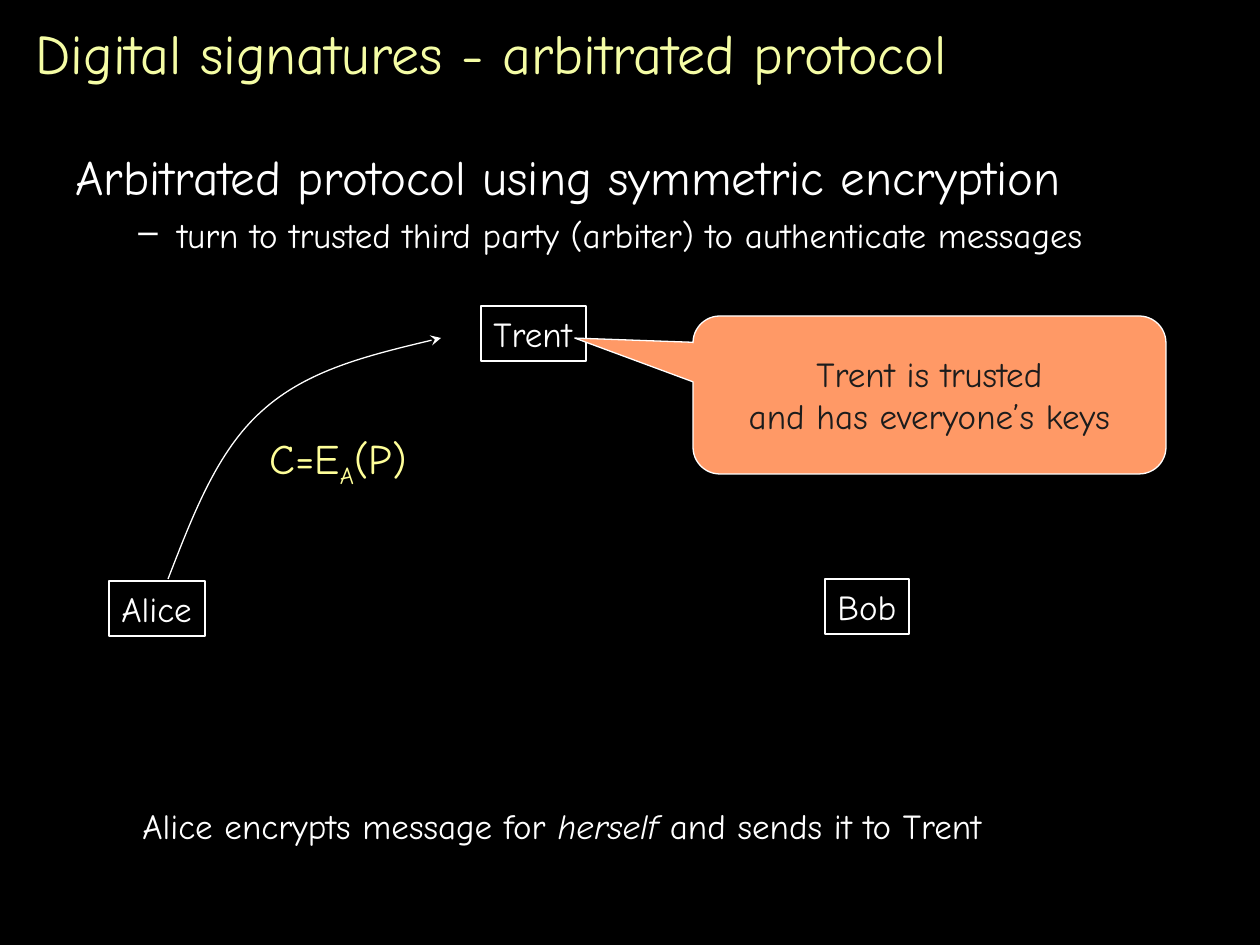
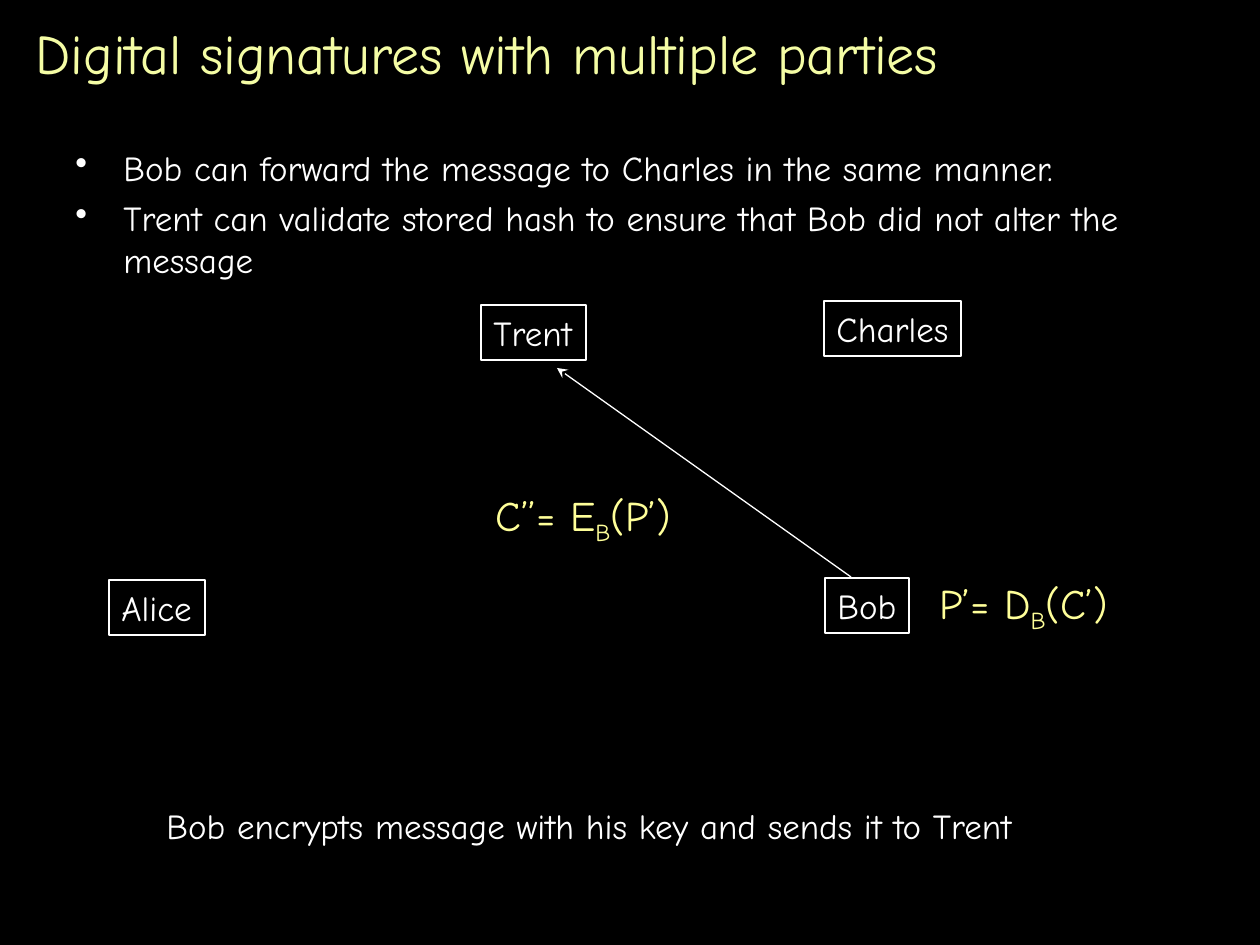
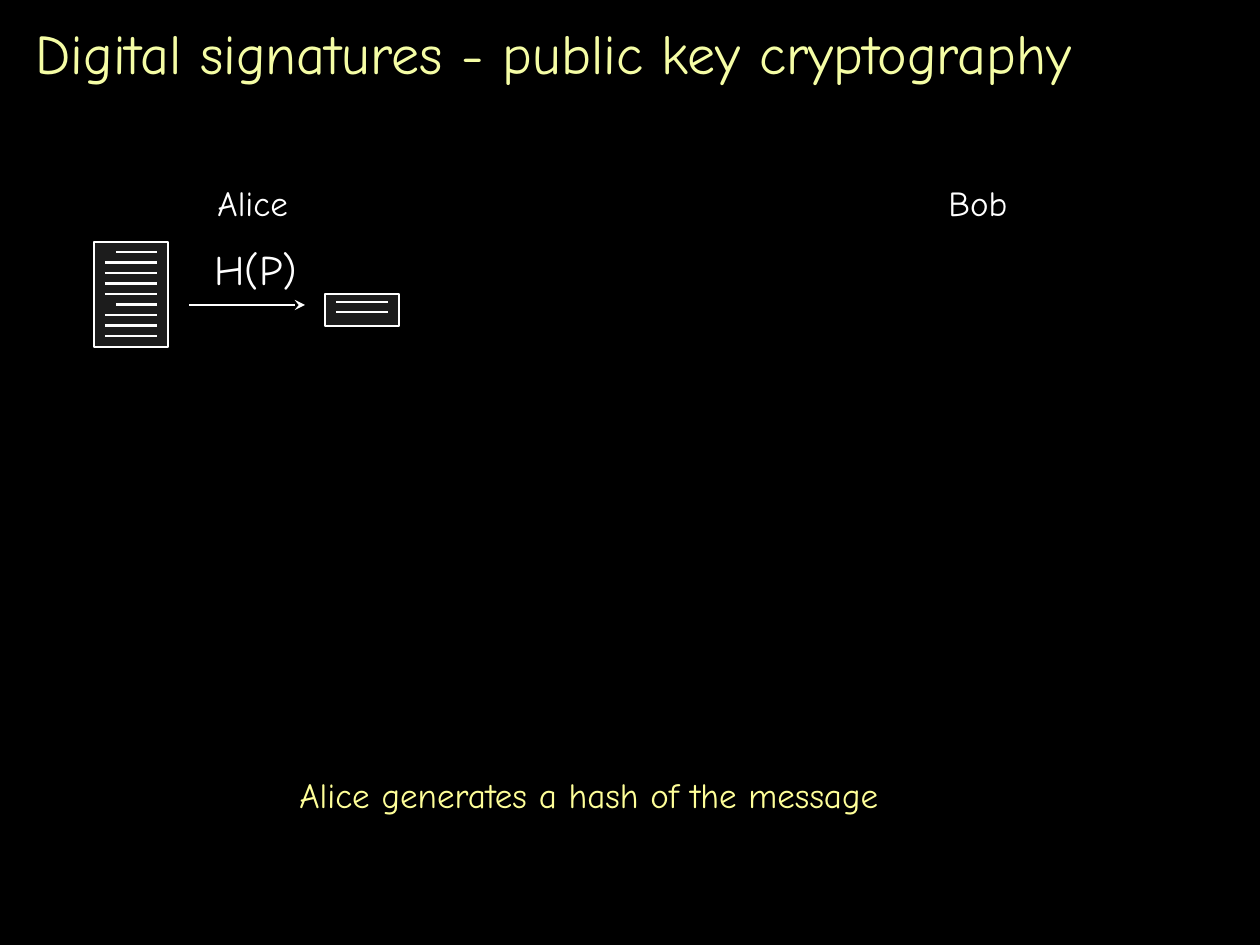
from pptx import Presentation
from pptx.dml.color import RGBColor
from pptx.enum.shapes import MSO_CONNECTOR, MSO_SHAPE
from pptx.enum.text import MSO_ANCHOR, MSO_AUTO_SIZE, PP_ALIGN
from pptx.oxml.ns import qn
from pptx.util import Pt
from lxml.etree import SubElement

BLACK = RGBColor(0x00, 0x00, 0x00)
WHITE = RGBColor(0xFF, 0xFF, 0xFF)
CHARCOAL = RGBColor(0x1C, 0x1C, 0x1C)
TITLE_YELLOW = RGBColor(0xF5, 0xFD, 0xA5)
YELLOW = RGBColor(0xFF, 0xFF, 0x99)
ORANGE = RGBColor(0xFF, 0x99, 0x66)
FONT = "Comic Neue"
SCALE = 914400 / 126  # EMU per px

PAGE_SIZE = (1260, 945)
TITLE_BOX = (23, 10, 1218, 84)
TEXT_SIZE, FORMULA_SIZE, HEADING_SIZE, TITLE_SIZE = 20, 24, 28, 32
THIN, THICK = 0.75, 1.5

# Body paragraph: text, size, space before, (bullet, left margin, hanging indent)
DASH = ("–", 102, 39)
DOT = ("•", 48, 48)
# Text with mixed styles is a list of (text, style) runs.
PLAIN, ITALIC, SUBSCRIPT = "plain", "italic", "subscript"

SLIDES = [
    {
        "title": "Digital signatures - arbitrated protocol",
        "body": ((63, 140, 1197, 704), [
            ("Arbitrated protocol using symmetric encryption", HEADING_SIZE, 0, None),
            ("turn to trusted third party (arbiter) to authenticate messages",
             TEXT_SIZE, 5, DASH),
        ]),
        "parties": [("Alice", (109, 581, 96, 55)), ("Bob", (825, 579, 84, 55)),
                    ("Trent", (481, 306, 105, 55))],
        "formulas": [([("C=E", PLAIN), ("A", SUBSCRIPT), ("(P)", PLAIN)],
                      (257, 426, 163, 71), YELLOW)],
        "captions": [([("Alice encrypts message for ", PLAIN), ("herself", ITALIC),
                       (" and sends it to Trent", PLAIN)],
                      (130, 798, 867, 55), WHITE)],
        "curve": [(168, 579), (193, 515), (217, 451), (262, 411),
                  (307, 370), (374, 354), (441, 338)],
        "callout": (["Trent is trusted", "and has everyone’s keys"],
                    (693, 316, 473, 158), (-0.75, -0.36, 0.17)),
    },
    {
        "title": "Digital signatures with multiple parties",
        "body": ((63, 140, 1134, 704), [
            ("Bob can forward the message to Charles in the same manner.",
             TEXT_SIZE, 0, DOT),
            ("Trent can validate stored hash to ensure that Bob did not alter the message",
             TEXT_SIZE, 5, DOT),
        ]),
        "parties": [("Alice", (109, 580, 96, 55)), ("Bob", (825, 578, 84, 55)),
                    ("Trent", (481, 305, 105, 55)), ("Charles", (824, 301, 137, 55))],
        "formulas": [
            ([("P’= D", PLAIN), ("B", SUBSCRIPT), ("(C’)", PLAIN)],
             (927, 571, 194, 71), YELLOW),
            ([("C’’= E", PLAIN), ("B", SUBSCRIPT), ("(P’)", PLAIN)],
             (483, 483, 265, 71), YELLOW),
        ],
        "captions": [([("Bob encrypts message with his key and sends it to Trent", PLAIN)],
                      (154, 798, 873, 55), WHITE)],
        "arrow": ((851, 577), (557, 368)),
    },
    {
        "title": "Digital signatures - public key cryptography",
        "formulas": [([("H(P)", PLAIN)], (202, 237, 108, 63), WHITE)],
        "captions": [
            ([("Alice", PLAIN)], (205, 175, 96, 55), WHITE),
            ([("Bob", PLAIN)], (936, 175, 84, 55), WHITE),
            ([("Alice generates a hash of the message", PLAIN)],
             (287, 767, 606, 55), YELLOW),
        ],
        "arrow": ((189, 305), (305, 305)),
        # Document: frame, first and last text line, line count, indented lines
        "documents": [((94, 242, 74, 105), (252, 336), 9, (0, 5)),
                      ((325, 294, 74, 32), (302, 312), 2, ())],
    },
]


def emu(lengths):
    return [round(length * SCALE) for length in lengths]


def style_font(font, size, color):
    font.name, font.size, font.color.rgb = FONT, Pt(size), color


def outline(shape, width):
    shape.line.color.rgb = WHITE
    shape.line.width = Pt(width)


def add_arrowhead(shape):
    SubElement(shape.element.spPr.find(qn("a:ln")), qn("a:tailEnd"), type="stealth")


def add_line(shapes, start, end, width):
    line = shapes.add_connector(MSO_CONNECTOR.STRAIGHT, *emu(start), *emu(end))
    outline(line, width)
    SubElement(line.element.spPr, qn("a:effectLst"))
    return line


def add_rectangle(shapes, frame, width):
    box = shapes.add_shape(MSO_SHAPE.RECTANGLE, *emu(frame))
    box.shadow.inherit = False
    outline(box, width)
    return box


def add_title(page, title):
    text = page.shapes.add_textbox(*emu(TITLE_BOX)).text_frame
    text.word_wrap = True
    text.vertical_anchor = MSO_ANCHOR.MIDDLE
    text.text = title
    style_font(text.paragraphs[0].font, TITLE_SIZE, TITLE_YELLOW)


def add_body(page, frame, items):
    text = page.shapes.add_textbox(*emu(frame)).text_frame
    text.word_wrap = True
    for index, (words, size, space, bullet) in enumerate(items):
        para = text.add_paragraph() if index else text.paragraphs[0]
        para.text = words
        para.space_before = Pt(space)
        if bullet:
            mark, margin, hang = bullet
            margin, hang = emu((margin, hang))
            props = para._p.get_or_add_pPr()
            props.set("marL", str(margin))
            props.set("indent", str(-hang))
            SubElement(props, qn("a:buChar"), char=mark)
        style_font(para.font, size, WHITE)


def add_label(page, spans, frame, size, color):
    text = page.shapes.add_textbox(*emu(frame)).text_frame
    text.word_wrap = False
    text.auto_size = MSO_AUTO_SIZE.SHAPE_TO_FIT_TEXT
    for words, style in spans:
        span = text.paragraphs[0].add_run()
        span.text = words
        style_font(span.font, size, color)
        if style == ITALIC:
            span.font.italic = True
        elif style == SUBSCRIPT:
            span._r.get_or_add_rPr().set("baseline", "-25000")


def add_party(page, name, frame):
    box = add_rectangle(page.shapes, frame, THIN)
    box.fill.background()
    text = box.text_frame
    text.word_wrap = False
    text.auto_size = MSO_AUTO_SIZE.SHAPE_TO_FIT_TEXT
    text.vertical_anchor = MSO_ANCHOR.TOP
    text.text = name
    text.paragraphs[0].alignment = PP_ALIGN.LEFT
    style_font(text.paragraphs[0].font, TEXT_SIZE, WHITE)


def add_curved_arrow(page, points):
    """Draw cubic segments: a start point, then three points for each segment."""
    start, *rest = [emu(point) for point in points]
    builder = page.shapes.build_freeform(*start)
    builder.add_line_segments(rest, close=False)
    curve = builder.convert_to_shape()
    steps = list(curve.element.iter(qn("a:lnTo")))
    for first in range(0, len(steps), 3):
        segment = SubElement(steps[first].getparent(), qn("a:cubicBezTo"))
        for step in steps[first:first + 3]:
            segment.append(step[0])
            step.getparent().remove(step)
    curve.shadow.inherit = False
    curve.fill.background()
    outline(curve, THIN)
    add_arrowhead(curve)


def add_callout(page, lines, frame, adjustments):
    callout = page.shapes.add_shape(MSO_SHAPE.ROUNDED_RECTANGULAR_CALLOUT, *emu(frame))
    callout.shadow.inherit = False
    for index, value in enumerate(adjustments):
        callout.adjustments[index] = value
    callout.fill.solid()
    callout.fill.fore_color.rgb = ORANGE
    outline(callout, THIN)
    text = callout.text_frame
    text.word_wrap = False
    text.vertical_anchor = MSO_ANCHOR.MIDDLE
    text.text = "\n".join(lines)
    for para in text.paragraphs:
        para.alignment = PP_ALIGN.CENTER
        style_font(para.font, TEXT_SIZE, CHARCOAL)


def add_document(page, frame, line_span, count, indented):
    group = page.shapes.add_group_shape()
    paper = add_rectangle(group.shapes, frame, THICK)
    paper.fill.solid()
    paper.fill.fore_color.rgb = CHARCOAL
    left, _, width, _ = frame
    margin = 11
    first, last = line_span
    for row in range(count):
        y = first + row * (last - first) / (count - 1)
        indent = margin * (2 if row in indented else 1)
        add_line(group.shapes, (left + indent, y), (left + width - margin, y), THICK)


def add_page(deck, content):
    page = deck.slides.add_slide(deck.slide_layouts[6])
    add_title(page, content["title"])
    if "body" in content:
        add_body(page, *content["body"])
    for party in content.get("parties", []):
        add_party(page, *party)
    for spans, frame, color in content["formulas"]:
        add_label(page, spans, frame, FORMULA_SIZE, color)
    for spans, frame, color in content["captions"]:
        add_label(page, spans, frame, TEXT_SIZE, color)
    if "curve" in content:
        add_curved_arrow(page, content["curve"])
    if "arrow" in content:
        add_arrowhead(add_line(page.shapes, *content["arrow"], THIN))
    if "callout" in content:
        add_callout(page, *content["callout"])
    for document in content.get("documents", []):
        add_document(page, *document)


def main():
    deck = Presentation()
    deck.slide_width, deck.slide_height = emu(PAGE_SIZE)
    background = deck.slide_master.background.fill
    background.solid()
    background.fore_color.rgb = BLACK
    for content in SLIDES:
        add_page(deck, content)
    deck.save("out.pptx")


if __name__ == "__main__":
    main()
